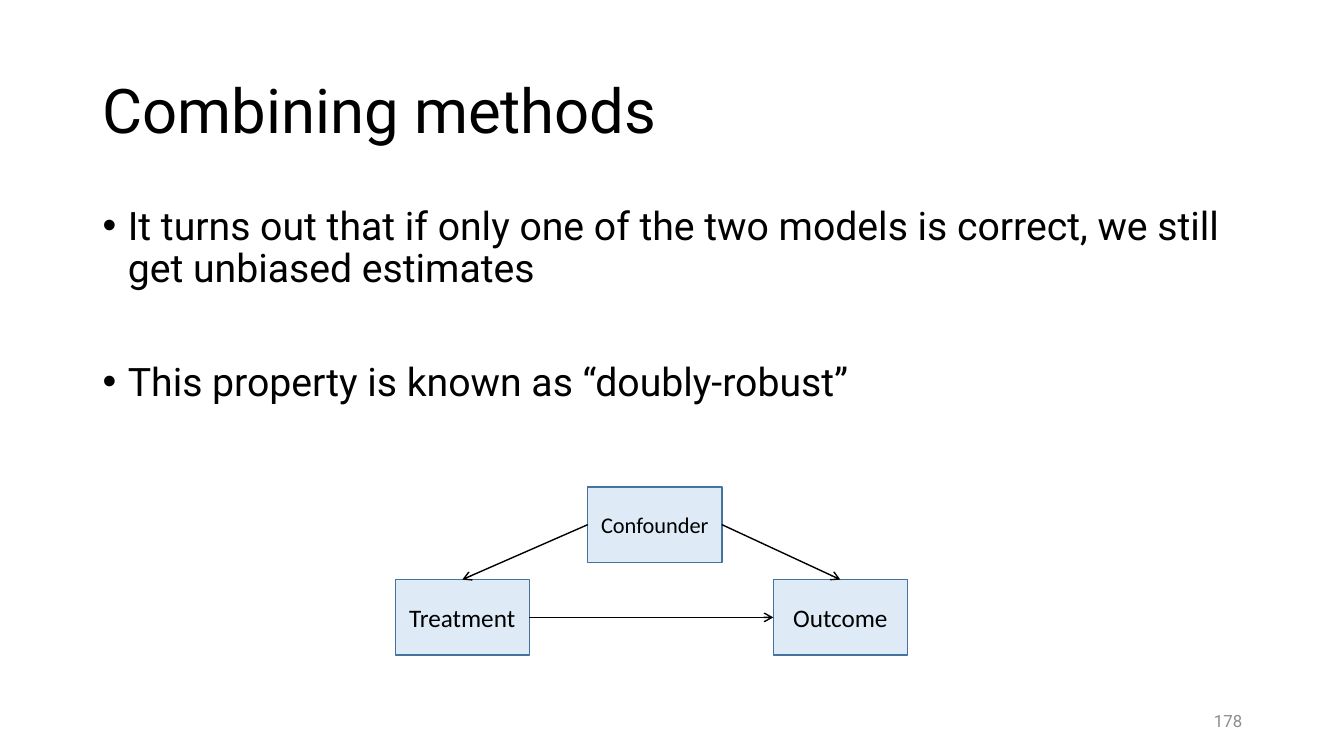
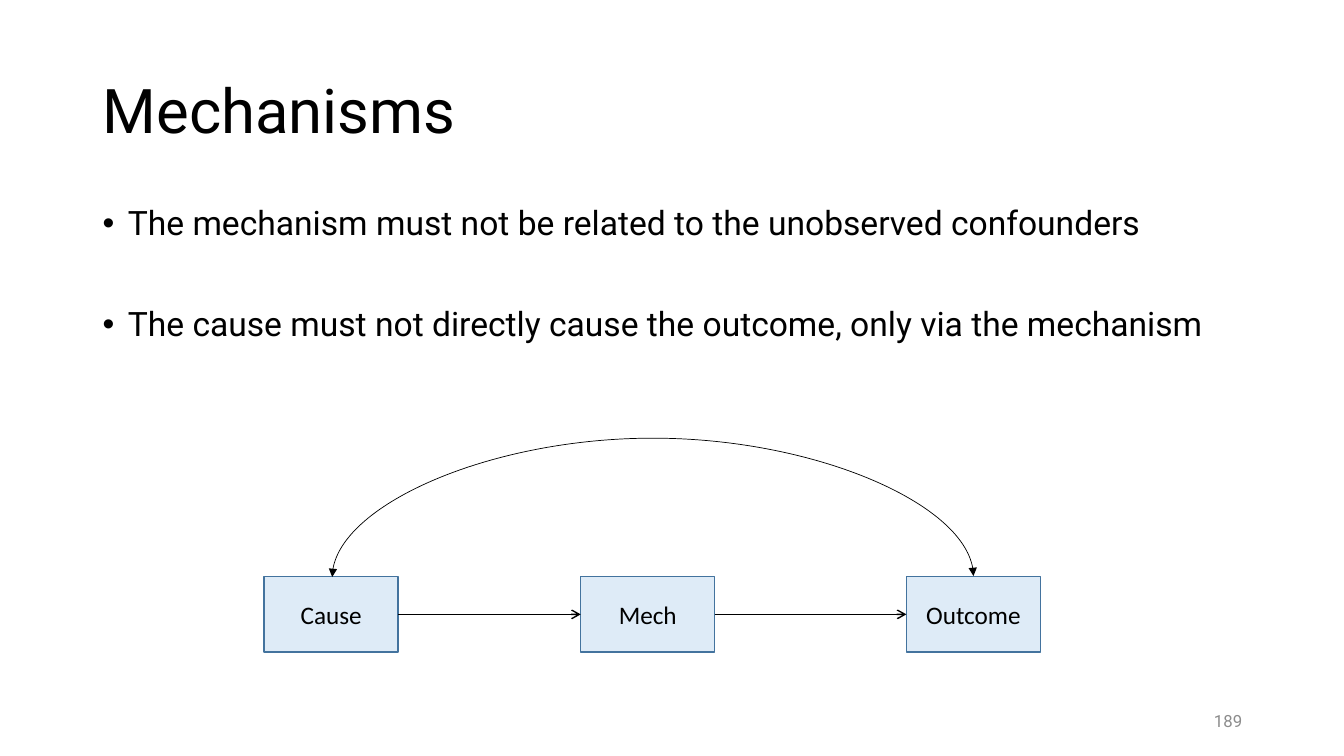
from lxml import etree
from pptx import Presentation
from pptx import util as u
from pptx.dml.color import RGBColor
from pptx.enum import shapes, text
from pptx.oxml.ns import qn

PX = 9144  # EMU per px, 100 px to the inch
COLORS = {"ink": "000000", "muted": "8C8C8C", "node": "DEEBF7", "edge": "43739E"}
HEADING_FONT, NODE_FONT = "Roboto", "Calibri"
NODE_W, NODE_H = 133, 75
TOP, LEFT, RIGHT = 0, 1, 3  # connection sites of a rectangle


def px(*lengths):
    return [u.Emu(n * PX) for n in lengths]


def rgb(name):
    return RGBColor.from_string(COLORS[name])


class Deck:
    def __init__(self):
        self.prs = Presentation()
        self.prs.slide_width, self.prs.slide_height = px(1333, 750)
        self.s = None

    def add_slide(self, title, number):
        self.s = self.prs.slides.add_slide(self.prs.slide_layouts[6])
        p = self.text_box(92, 40, 1150, 145, [title], 44)[0]
        p.line_spacing = 0.9
        p = self.text_box(942, 695, 300, 40, [number], 12, "muted")[0]
        p.alignment = text.PP_ALIGN.RIGHT

    def format_runs(self, p, size, font, color="ink"):
        for r in p.runs:
            r.font.size, r.font.name = u.Pt(size), font
            r.font.color.rgb = rgb(color)

    def text_box(self, x, y, w, h, lines, size, color="ink",
                 anchor=text.MSO_ANCHOR.MIDDLE):
        """Add one paragraph per line and return the paragraphs."""
        tf = self.s.shapes.add_textbox(*px(x, y, w, h)).text_frame
        tf.word_wrap = True
        tf.vertical_anchor = anchor
        tf.text = "\n".join(lines)
        for p in tf.paragraphs:
            self.format_runs(p, size, HEADING_FONT, color)
        return tf.paragraphs

    def bullets(self, lines, size):
        """Add the body list, with about one empty line between items."""
        items = self.text_box(92, 200, 1150, 476, lines, size,
                              anchor=text.MSO_ANCHOR.TOP)
        for i, p in enumerate(items):
            pPr = p._p.get_or_add_pPr()
            pPr.set("marL", str(25 * PX))
            pPr.set("indent", str(-25 * PX))
            etree.SubElement(pPr, qn("a:buFont"), typeface="Arial")
            etree.SubElement(pPr, qn("a:buChar"), char="•")
            p.line_spacing = 0.9
            if i:
                p.space_before = u.Pt(20 + 1.1 * size)

    def node(self, x, y, label, size=18):
        sp = self.s.shapes.add_shape(shapes.MSO_SHAPE.RECTANGLE,
                                     *px(x, y, NODE_W, NODE_H))
        sp.shadow.inherit = False
        sp.fill.solid()
        sp.fill.fore_color.rgb = rgb("node")
        sp.line.color.rgb = rgb("edge")
        sp.line.width = u.Pt(1)
        tf = sp.text_frame
        tf.vertical_anchor = text.MSO_ANCHOR.MIDDLE
        tf.text = label
        p = tf.paragraphs[0]
        p.alignment = text.PP_ALIGN.CENTER
        self.format_runs(p, size, NODE_FONT)
        return sp

    def style_line(self, line, width, **ends):
        line.line.color.rgb = rgb("ink")
        line.line.width = u.Pt(width)
        spPr = line.element.spPr
        for end, kind in ends.items():
            etree.SubElement(spPr.find(qn("a:ln")), qn("a:" + end), type=kind)
        etree.SubElement(spPr, qn("a:effectLst"))

    def arrow(self, start, start_site, end, end_site):
        line = self.s.shapes.add_connector(shapes.MSO_CONNECTOR.STRAIGHT, 0, 0, 0, 0)
        line.begin_connect(start, start_site)
        line.end_connect(end, end_site)
        self.style_line(line, 1, tailEnd="arrow")

    def arch(self, x1, x2, y, rise):
        """Add a two-headed curve over the span from x1 to x2.

        It is a curved connector one px wide, turned by 90 degrees, so
        that its adjustment counts the rise in px.
        """
        mid, half = (x1 + x2) // 2, (x2 - x1) // 2
        line = self.s.shapes.add_connector(
            shapes.MSO_CONNECTOR.CURVE, *px(mid + 1, y + half, mid, y - half))
        spPr = line.element.spPr
        spPr.find(qn("a:xfrm")).set("rot", str(90 * 60000))
        guides = spPr.find(qn("a:prstGeom")).find(qn("a:avLst"))
        etree.SubElement(guides, qn("a:gd"), name="adj1", fmla=f"val {rise * 100000}")
        self.style_line(line, 0.5, headEnd="triangle", tailEnd="triangle")


def main():
    deck = Deck()

    deck.add_slide("Combining methods", "178")
    deck.bullets(["It turns out that if only one of the two models is correct, "
                  "we still get unbiased estimates",
                  "This property is known as “doubly-robust”"], 28)
    treatment = deck.node(392, 575, "Treatment")
    outcome = deck.node(767, 575, "Outcome")
    confounder = deck.node(583, 483, "Confounder", 16)
    deck.arrow(treatment, RIGHT, outcome, LEFT)
    deck.arrow(confounder, LEFT, treatment, TOP)
    deck.arrow(confounder, RIGHT, outcome, TOP)

    deck.add_slide("Mechanisms", "189")
    deck.bullets(["The mechanism must not be related to the unobserved confounders",
                  "The cause must not directly cause the outcome, "
                  "only via the mechanism"], 24)
    cause, mech, outcome = [deck.node(x, 572, label) for x, label in
                            ((262, "Cause"), (576, "Mech"), (899, "Outcome"))]
    deck.arrow(cause, RIGHT, mech, LEFT)
    deck.arrow(mech, RIGHT, outcome, LEFT)
    deck.arch(329, 966, 572, 140)

    deck.prs.save("out.pptx")


if __name__ == "__main__":
    main()
